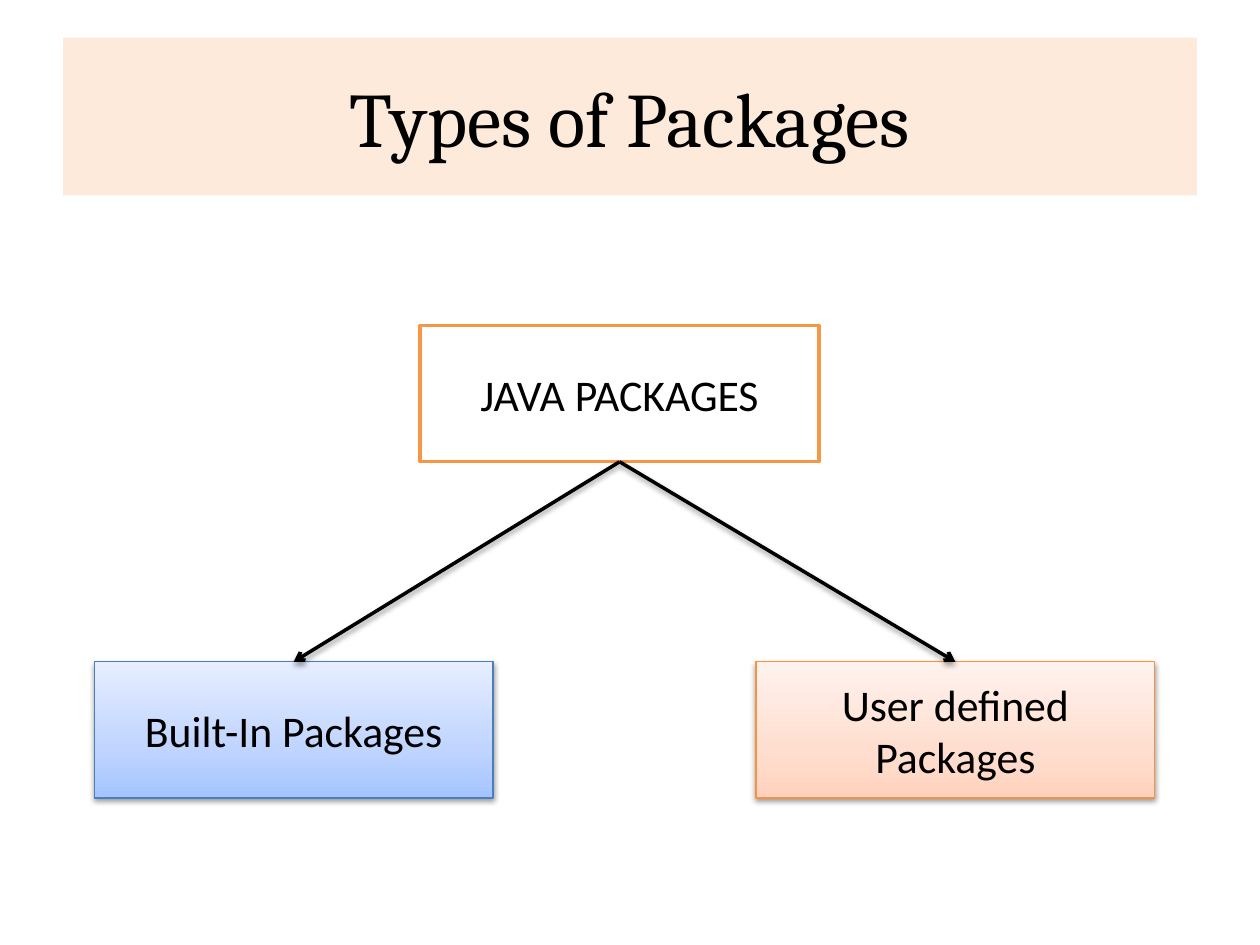
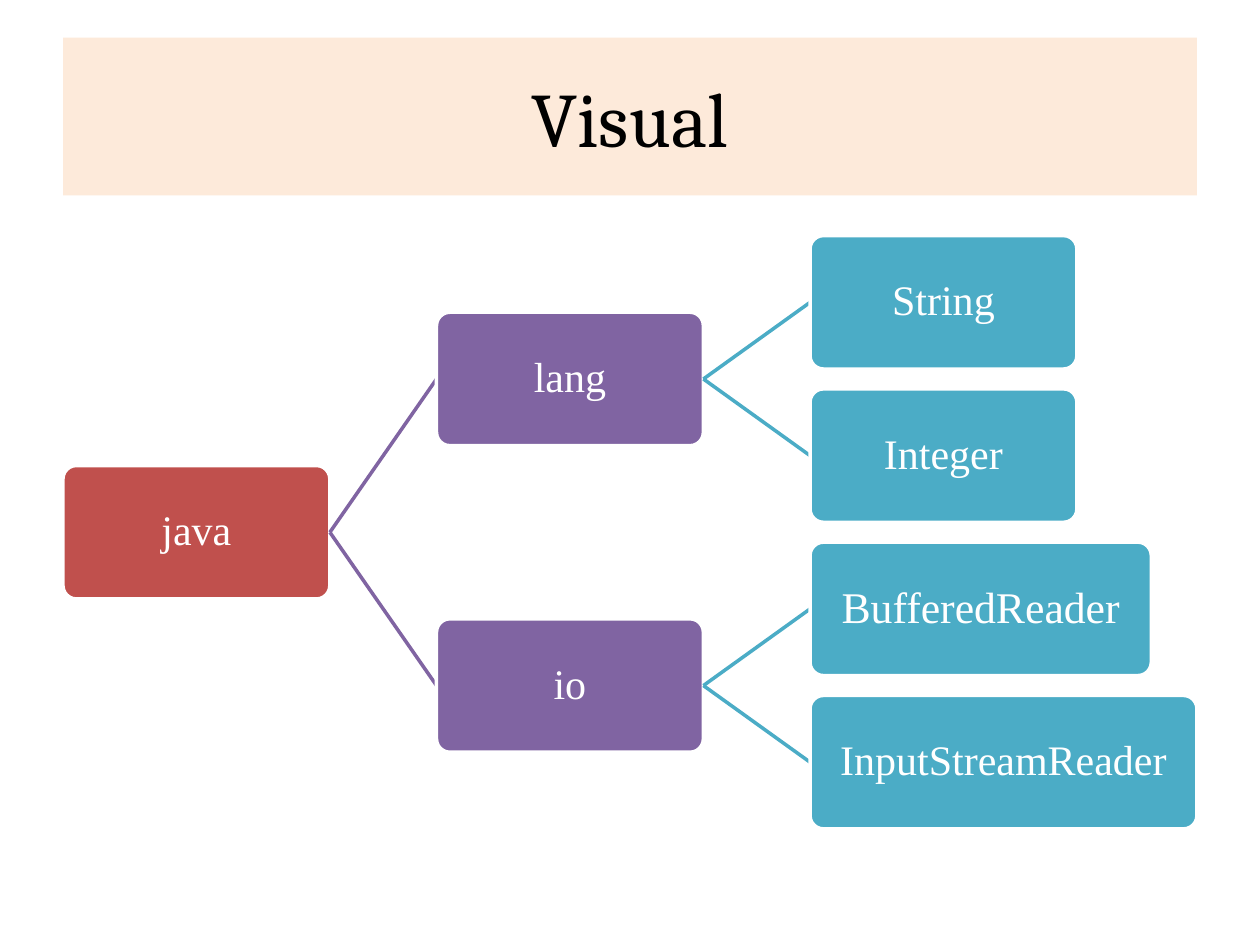
from copy import deepcopy

from pptx import Presentation
from pptx.dml.color import RGBColor as Rgb
from pptx.enum.shapes import MSO_CONNECTOR as Link, MSO_SHAPE as Kind
from pptx.enum.text import MSO_ANCHOR as Anchor, PP_ALIGN as Align
from pptx.oxml.ns import qn
from pptx.oxml.xmlchemy import OxmlElement as Node
from pptx.util import Cm, Pt

HUES = {
    "band": "FDEADA", "black": "000000", "white": "FFFFFF",
    "orange": "F79646", "amber": "F69240", "blue": "4B7EBC",
    "red": "C0504D", "purple": "8064A2", "teal": "4BACC6",
}
FADES = {
    "blue": ("A4C4FF", "BFD4FF", "E6EEFF"),
    "amber": ("FFD2BD", "FFDED0", "FFF2ED"),
}
STOPS = (0, 0.35, 1)

BOX_W, BOX_H = 8.04, 2.75
ROOT_X, ROOT_Y = 8.47, 6.56
KIND_Y = 13.34

NODE_W, NODE_H = 5.38, 2.69
TREE_X, TREE_Y = 1.27, 4.75
COL, ROW = 7.53, 3.09


def hue(name):
    return Rgb.from_string(HUES[name])


def write(shape, text, font, size, color):
    frame = shape.text_frame
    frame.text = text
    frame.word_wrap = True
    frame.vertical_anchor = Anchor.MIDDLE
    line = frame.paragraphs[0]
    line.alignment = Align.CENTER
    face = line.runs[0].font
    face.name, face.size = font, Pt(size)
    face.color.rgb = hue(color)


def new_slide(deck, text):
    slide = deck.slides.add_slide(deck.slide_layouts[5])
    title = slide.shapes.title
    title.left, title.top = Cm(1.27), Cm(0.76)
    title.width, title.height = Cm(22.86), Cm(3.18)
    title.fill.solid()
    title.fill.fore_color.rgb = hue("band")
    write(title, text, "Cambria", 44, "black")
    return slide


def add_box(slide, kind, x, y, wide, high, fill, edge, weight):
    box = slide.shapes.add_shape(kind, Cm(x), Cm(y), Cm(wide), Cm(high))
    box.shadow.inherit = False
    box.fill.solid()
    box.fill.fore_color.rgb = hue(fill)
    box.line.color.rgb = hue(edge)
    box.line.width = Pt(weight)
    return box


def fade(box, colors):
    box.fill.gradient()
    box.fill.gradient_angle = 90
    stops = next(box.element.iter(qn("a:gsLst")))
    stops.insert(1, deepcopy(stops[0]))
    for stop, place, color in zip(box.fill.gradient_stops, STOPS, colors):
        stop.position = place
        stop.color.rgb = Rgb.from_string(color)


def cast(effects):
    shade = Node("a:outerShdw")
    for key, value in (("blurRad", 40000), ("dist", 20000),
                       ("dir", 5400000), ("rotWithShape", 0)):
        shade.set(key, str(value))
    tint, alpha = Node("a:srgbClr"), Node("a:alpha")
    tint.set("val", HUES["black"])
    alpha.set("val", "38000")
    tint.append(alpha)
    shade.append(tint)
    effects.append(shade)


def add_link(slide, start, end, color):
    ends = [Cm(value) for value in (*start, *end)]
    link = slide.shapes.add_connector(Link.STRAIGHT, *ends)
    link.line.color.rgb = hue(color)
    link.line.width = Pt(2)
    effects = Node("a:effectLst")
    link.element.spPr.append(effects)
    return link, effects


def add_arrow(slide, start, end):
    link, effects = add_link(slide, start, end, "black")
    tail = Node("a:tailEnd")
    tail.set("type", "arrow")
    link.line._get_or_add_ln().append(tail)
    cast(effects)


def add_types(slide):
    root = add_box(slide, Kind.RECTANGLE, ROOT_X, ROOT_Y, BOX_W, BOX_H,
                   "white", "orange", 2)
    write(root, "JAVA PACKAGES", "Calibri", 25, "black")
    start = ROOT_X + BOX_W / 2, ROOT_Y + BOX_H
    kinds = (("Built-In Packages", 1.9, "blue"),
             ("User defined Packages", 15.24, "amber"))
    for text, x, color in kinds:
        box = add_box(slide, Kind.RECTANGLE, x, KIND_Y, BOX_W, BOX_H,
                      "white", color, 0.75)
        fade(box, FADES[color])
        cast(box.element.spPr.find(qn("a:effectLst")))
        write(box, text, "Calibri", 25, "black")
    for text, x, color in kinds:
        add_arrow(slide, start, (x + BOX_W / 2, KIND_Y))


def add_node(slide, text, col, row, color, origin=None,
             wide=NODE_W, size=24):
    x, y = TREE_X + col * COL, TREE_Y + row * ROW
    middle = y + NODE_H / 2
    if origin:
        add_link(slide, origin, (x, middle), color)
    box = add_box(slide, Kind.ROUNDED_RECTANGLE, x, y, wide, NODE_H,
                  color, "white", 2)
    box.adjustments[0] = 0.1
    frame = box.text_frame
    frame.margin_left = frame.margin_right = Cm(0.05)
    frame.margin_top = frame.margin_bottom = Cm(0.05)
    write(box, text, "Times New Roman", size, "white")
    frame.paragraphs[0].line_spacing = 0.9
    return x + wide, middle


def add_tree(slide):
    root = add_node(slide, "java", 0, 1.5, "red")
    lang = add_node(slide, "lang", 1, 0.5, "purple", root)
    add_node(slide, "String", 2, 0, "teal", lang)
    add_node(slide, "Integer", 2, 1, "teal", lang)
    flow = add_node(slide, "io", 1, 2.5, "purple", root)
    add_node(slide, "BufferedReader", 2, 2, "teal", flow, 6.88, 25)
    add_node(slide, "InputStreamReader", 2, 3, "teal", flow, 7.8)


def main():
    deck = Presentation()
    deck.slide_width, deck.slide_height = Cm(25.4), Cm(19.05)
    add_types(new_slide(deck, "Types of Packages"))
    add_tree(new_slide(deck, "Visual"))
    deck.save("out.pptx")


main()
